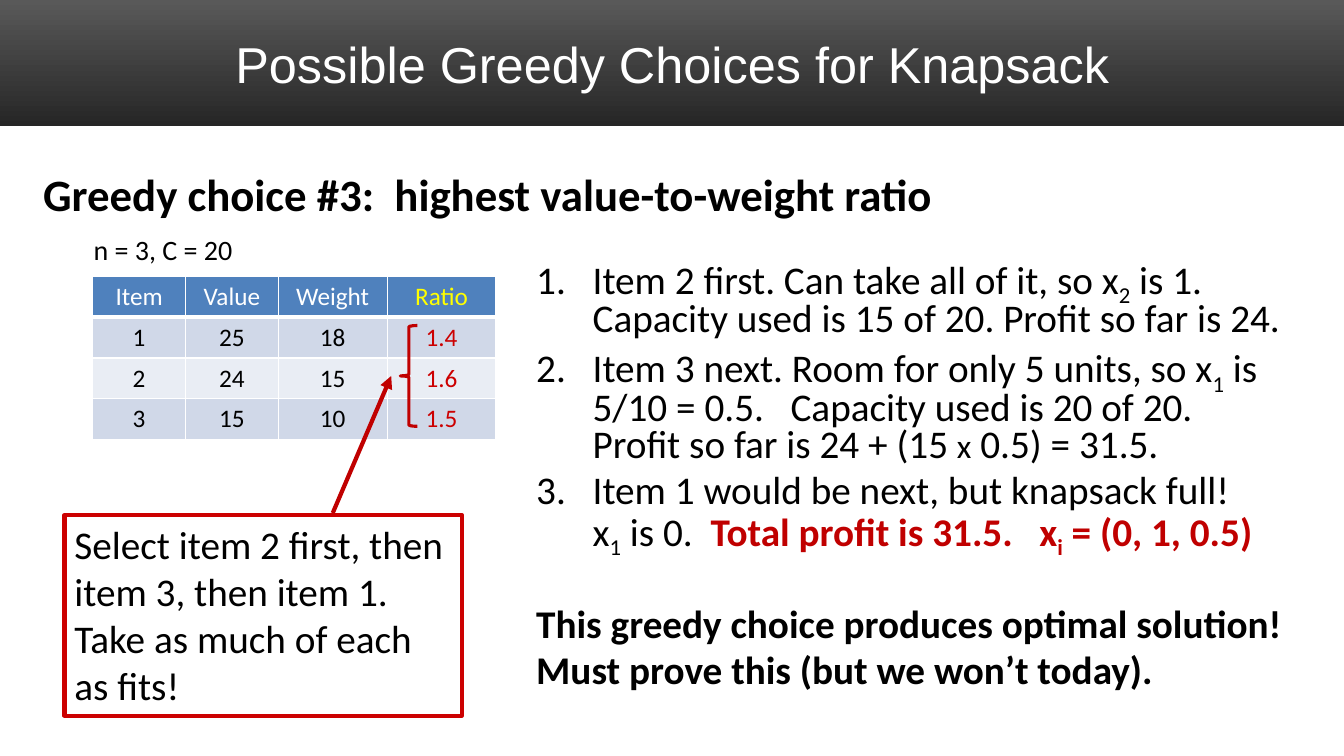
from pptx import Presentation
from pptx.dml.color import RGBColor
from pptx.enum.shapes import MSO_CONNECTOR, MSO_SHAPE
from pptx.enum.text import MSO_ANCHOR, MSO_AUTO_SIZE, PP_ALIGN
from pptx.oxml.ns import qn
from pptx.util import Inches, Pt
from lxml.etree import SubElement

COLORS = {
    "black": "000000", "white": "FFFFFF", "yellow": "FFFF00",
    "red": "CC0000", "dark_red": "C00000",
    "header": "4F81BD", "odd_row": "D0D8E8", "even_row": "E9EDF4",
    "band_top": "595959", "band_bottom": "262626",
}
ITEMS = [
    ("Item", "Value", "Weight", "Ratio"),
    ("1", "25", "18", "1.4"),
    ("2", "24", "15", "1.6"),
    ("3", "15", "10", "1.5"),
]
SUB = {"sub": True}
RESULT = {"bold": True, "color": "dark_red"}
STEPS = [
    [("Item 2 first. Can take all of it, so x", {}), ("2", SUB),
     (" is 1.\nCapacity used is 15 of 20. Profit so far is 24.", {})],
    [("Item 3 next. Room for only 5 units, so x", {}), ("1", SUB),
     (" is 5/10 = 0.5.   Capacity used is 20 of 20.\nProfit so far is 24 + (15 ", {}),
     ("x", {"size": 24}), (" 0.5) = 31.5.", {})],
    [("Item 1 would be next, but knapsack full!\nx", {}), ("1", SUB),
     (" is 0.  ", {}), ("Total profit is 31.5.   x", RESULT),
     ("i", {**RESULT, **SUB}), (" = (0, 1, 0.5)", RESULT)],
]
CONCLUSION = ["This greedy choice produces optimal solution!",
              "Must prove this (but we won’t today)."]


def rgb(name):
    return RGBColor.from_string(COLORS[name])


def add_run(paragraph, text, size=28, color="black", bold=False, font="Calibri", sub=False):
    for index, line in enumerate(text.split("\n")):
        if index:
            paragraph.add_line_break()
        run = paragraph.add_run()
        run.text = line
        run.font.size, run.font.bold, run.font.name = Pt(size), bold, font
        run.font.color.rgb = rgb(color)
        if sub:
            run.font._element.set("baseline", "-25000")


def write(frame, text, align=PP_ALIGN.LEFT, spacing=None, before=0, numbered=False, **style):
    """Add a paragraph; text is a string or a list of (string, style) runs."""
    last = frame.paragraphs[-1]
    paragraph = frame.add_paragraph() if last.runs else last
    paragraph.alignment = align
    paragraph.space_before = Pt(before)
    if spacing:
        paragraph.line_spacing = spacing
    if numbered:
        properties = paragraph._p.get_or_add_pPr()
        properties.set("marL", str(Inches(0.56)))
        properties.set("indent", str(-Inches(0.56)))
        SubElement(properties, qn("a:buAutoNum"), type="arabicPeriod")
    for part, extra in [(text, {})] if isinstance(text, str) else text:
        add_run(paragraph, part, **{**style, **extra})


def add_text_area(slide, left, top, width, height, wrap=True):
    frame = slide.shapes.add_textbox(
        Inches(left), Inches(top), Inches(width), Inches(height)).text_frame
    frame.word_wrap = wrap
    return frame


def add_outline(slide, kind, left, top, width, height, color, weight):
    shape = slide.shapes.add_shape(
        kind, Inches(left), Inches(top), Inches(width), Inches(height))
    shape.shadow.inherit = False
    shape.fill.background()
    shape.line.color.rgb = rgb(color)
    shape.line.width = Pt(weight)
    return shape


def add_arrow(slide, start, end, color, weight):
    arrow = slide.shapes.add_connector(
        MSO_CONNECTOR.STRAIGHT, *(Inches(v) for v in start + end))
    arrow.line.color.rgb = rgb(color)
    arrow.line.width = Pt(weight)
    SubElement(arrow.line._get_or_add_ln(), qn("a:tailEnd"), type="triangle")
    SubElement(arrow._element.spPr, qn("a:effectLst"))


def add_title(slide, text):
    band = slide.shapes.add_shape(MSO_SHAPE.RECTANGLE, 0, 0, Inches(13.33), Inches(1.25))
    band.shadow.inherit = False
    band.line.fill.background()
    band.fill.gradient()
    band.fill.gradient_angle = 270
    for stop, color, place in zip(band.fill.gradient_stops, ("band_top", "band_bottom"), (0, 1)):
        stop.color.rgb = rgb(color)
        stop.position = place
    title = slide.shapes.title
    title.left, title.top = Inches(0.67), Inches(0.17)
    title.width, title.height = Inches(12), Inches(0.92)
    title.text_frame.auto_size = MSO_AUTO_SIZE.NONE
    title.text_frame.vertical_anchor = MSO_ANCHOR.MIDDLE
    write(title.text_frame, text, align=PP_ALIGN.CENTER, size=36, color="white", font="Arial")
    title._element.addprevious(band._element)  # band lies behind the title


def add_borders(cell, is_header):
    properties = cell._tc.get_or_add_tcPr()
    for index, side in enumerate(("lnL", "lnR", "lnT", "lnB")):
        weight = 3 if is_header and side == "lnB" else 1
        line = properties.makeelement(qn(f"a:{side}"), {"w": str(Pt(weight))})
        fill = SubElement(line, qn("a:solidFill"))
        SubElement(fill, qn("a:srgbClr"), val=COLORS["white"])
        properties.insert(index, line)


def add_item_table(slide):
    table = slide.shapes.add_table(
        len(ITEMS), len(ITEMS[0]), Inches(0.92), Inches(2.74), Inches(4), Inches(1.62)).table
    for column, width in zip(table.columns, (0.92, 0.92, 1.08, 1.08)):
        column.width = Inches(width)
    for r, values in enumerate(ITEMS):
        row_fill = "header" if r == 0 else "odd_row" if r % 2 else "even_row"
        for c, value in enumerate(values):
            is_ratio = c == len(values) - 1
            if r == 0:
                color = "yellow" if is_ratio else "white"
            else:
                color = "red" if is_ratio else "black"
            cell = table.cell(r, c)
            cell.fill.solid()
            cell.fill.fore_color.rgb = rgb(row_fill)
            add_borders(cell, r == 0)
            write(cell.text_frame, value, align=PP_ALIGN.CENTER, size=18, color=color)


def main():
    presentation = Presentation()
    presentation.slide_width, presentation.slide_height = Inches(13.33), Inches(7.5)
    slide = presentation.slides.add_slide(presentation.slide_layouts[5])
    add_title(slide, "Possible Greedy Choices for Knapsack")

    # Item table with its heading
    add_item_table(slide)
    heading = add_text_area(slide, 0.33, 1.67, 10.83, 0.7)
    write(heading, "Greedy choice #3:  highest value-to-weight ratio",
          size=32, bold=True, spacing=0.9, before=6.4)
    write(add_text_area(slide, 0.83, 2.26, 1.59, 0.44, wrap=False), "n = 3, C = 20", size=20)

    # Selection rule pointing at the ratios
    rule = add_outline(slide, MSO_SHAPE.RECTANGLE, 0.64, 5.11, 3.94, 1.99, "red", 3).text_frame
    rule.word_wrap = True
    rule.vertical_anchor = MSO_ANCHOR.TOP
    write(rule, "Select item 2 first, then item 3, then item 1.\nTake as much of each as fits!")
    add_arrow(slide, (3.3, 5.09), (3.88, 3.73), "dark_red", 3)
    add_outline(slide, MSO_SHAPE.LEFT_BRACE, 3.97, 3.23, 0.17, 1, "dark_red", 2.25)

    # Worked steps and conclusion
    solution = add_text_area(slide, 5.22, 2.53, 7.78, 4.5)
    for step in STEPS:
        write(solution, step, numbered=True, spacing=0.8, before=5.6)
    for sentence, gap in zip(CONCLUSION, (38.5, 5.6)):
        write(solution, sentence, bold=True, spacing=0.8, before=gap)

    presentation.save("out.pptx")


main()
